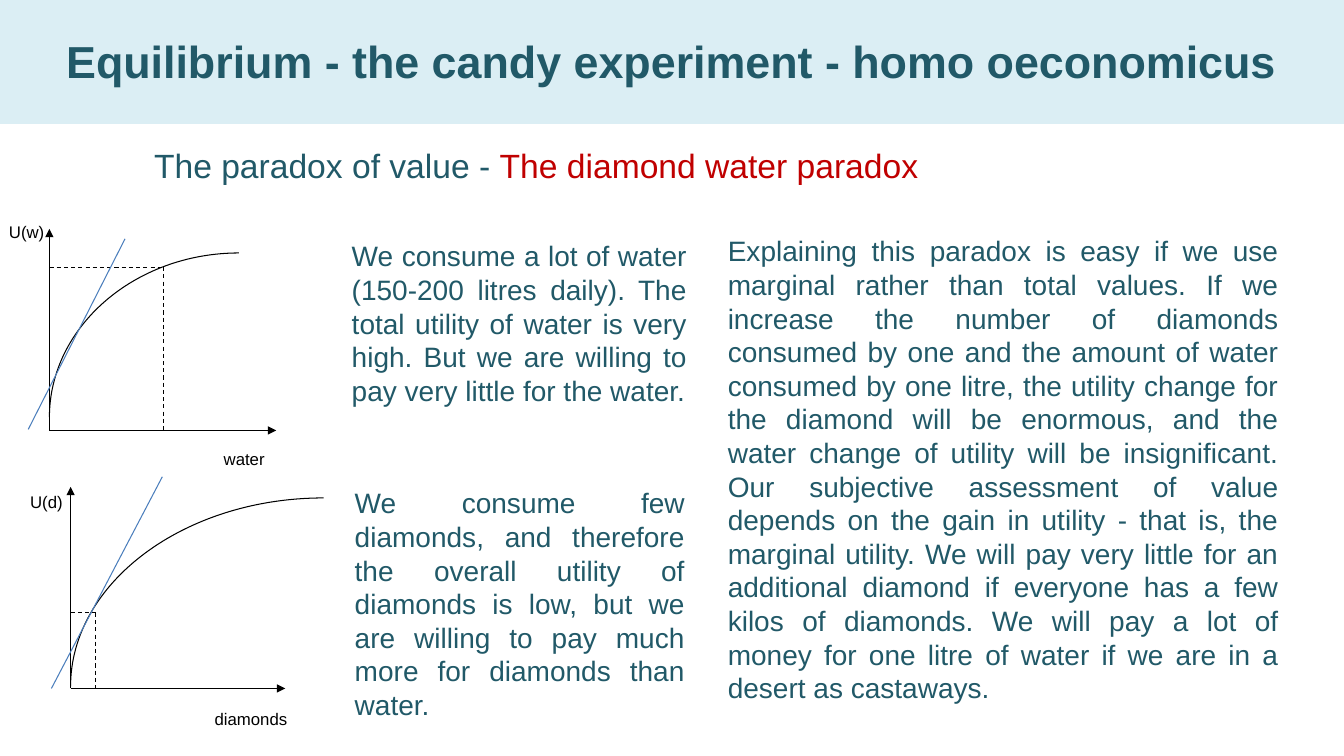
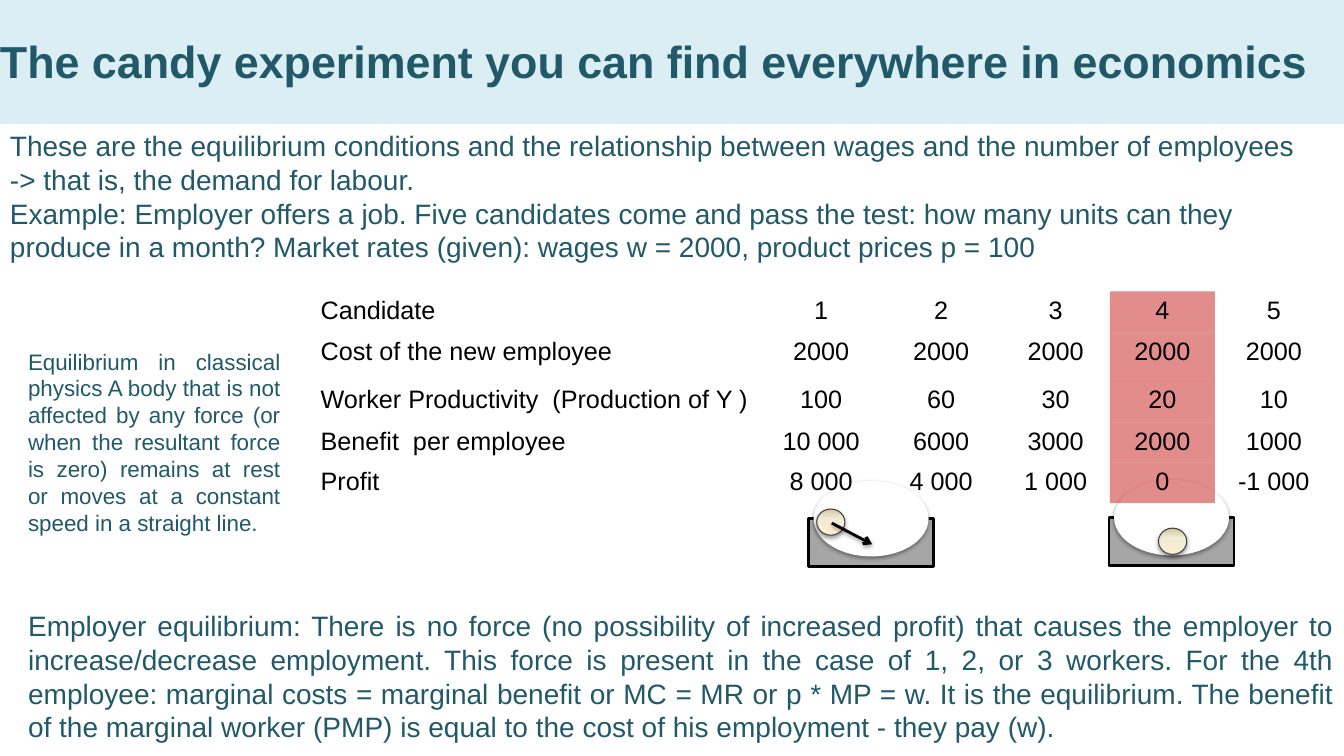
from copy import deepcopy

from lxml.etree import SubElement
from pptx import Presentation
from pptx.dml.color import RGBColor
from pptx.enum.dml import MSO_LINE
from pptx.enum.shapes import MSO_CONNECTOR, MSO_SHAPE
from pptx.enum.text import MSO_ANCHOR, MSO_AUTO_SIZE, PP_ALIGN
from pptx.oxml.ns import qn
from pptx.util import Inches, Pt

FONT = "Arial"
TEAL = "215968"
PALE = "DBEEF4"
RED = "C00000"
BLUE = "4B7EBC"
BLACK = "000000"
WHITE = "FFFFFF"
GREY = "A6A6A6"
DARK = "404040"
BALL = [(0, "FFEFD1"), (0.65, "F0EBD5"), (1, "D1C39F")]
PLAIN = "{2D5ABB26-0587-4C30-8999-92F81FD0307C}"
CURVE = 0.55

WIDTHS = [4.47, 1.19, 1.19, 1.08, 1.04, 1.17]
HEIGHTS = [0.41, 0.48, 0.41, 0.4, 0.4]
MARKED = 4
ROWS = [
    ["Candidate", "1", "2", "3", "4", "5"],
    ["Cost of the new employee", "2000", "2000", "2000", "2000", "2000"],
    ["Worker Productivity  (Production of Y )", "100", "60", "30", "20", "10"],
    ["Benefit  per employee", "10 000", "6000", "3000", "2000", "1000"],
    ["Profit", "8 000", "4 000", "1 000", "0", "-1 000"],
]


def tint(value):
    return RGBColor.from_string(value)


def place(*sizes):
    return [Inches(size) for size in sizes]


def write(para, text, size=20, color=TEAL, bold=False, align=None):
    para.alignment = align
    run = para.add_run()
    run.text = text
    font = run.font
    font.name = FONT
    font.size = Pt(size)
    font.bold = bold
    font.color.rgb = tint(color)


def add_text(slide, at, text, grow=True, **style):
    frame = slide.shapes.add_textbox(*place(*at)).text_frame
    frame.word_wrap = True
    frame.auto_size = MSO_AUTO_SIZE.SHAPE_TO_FIT_TEXT if grow else MSO_AUTO_SIZE.NONE
    write(frame.paragraphs[0], text, **style)
    return frame


def add_form(slide, kind, at, fill, line=None, width=0.75):
    form = slide.shapes.add_shape(kind, *place(*at))
    form.shadow.inherit = False
    form.fill.solid()
    form.fill.fore_color.rgb = tint(fill)
    if line:
        form.line.color.rgb = tint(line)
        form.line.width = Pt(width)
    else:
        form.line.fill.background()
    return form


def add_shade(item):
    effects = item._element.spPr.find(qn("a:effectLst"))
    shade = SubElement(effects, qn("a:outerShdw"), blurRad="39370", dist="20320",
                       dir="5400000", rotWithShape="0")
    color = SubElement(shade, qn("a:srgbClr"), val=BLACK)
    SubElement(color, qn("a:alpha"), val="38000")


def add_line(slide, start, end, color=BLACK, width=0.75, dash=False, head=None):
    line = slide.shapes.add_connector(MSO_CONNECTOR.STRAIGHT, *place(*start, *end))
    line.line.color.rgb = tint(color)
    line.line.width = Pt(width)
    if dash:
        line.line.dash_style = MSO_LINE.DASH
    if head:
        SubElement(line.line._get_or_add_ln(), qn("a:tailEnd"), type=head)
    SubElement(line._element.spPr, qn("a:effectLst"))
    return line


def add_curve(slide, left, top, right, base):
    pen = slide.shapes.build_freeform(*place(right, top))
    pen.add_line_segments([place(left, base)], close=False)
    form = pen.convert_to_shape()
    form.shadow.inherit = False
    form.fill.background()
    form.line.color.rgb = tint(BLACK)
    form.line.width = Pt(0.75)
    wide, high = form.width, form.height
    chord = form._element.spPr.find(".//" + qn("a:lnTo"))
    track = chord.getparent()
    track.remove(chord)
    bend = SubElement(track, qn("a:cubicBezTo"))
    points = [(wide * (1 - CURVE), 0), (0, high * (1 - CURVE)), (0, high)]
    for x, y in points:
        SubElement(bend, qn("a:pt"), x=str(round(x)), y=str(round(y)))


def add_graph(slide, zero, ends, curve, point, slope, labels):
    left, base = zero
    right, top = ends
    x, y = point
    for end in ((left, top), (right, base)):
        add_line(slide, zero, end, head="triangle")
    add_curve(slide, *curve)
    for text, at in labels:
        add_text(slide, at, text, grow=False, size=12, color=BLACK)
    for start, end in (((left, y), point), (point, (x, base))):
        add_line(slide, start, end, dash=True)
    add_line(slide, *slope, color=BLUE)


def add_bowl(slide, x, y, ball):
    add_form(slide, MSO_SHAPE.RECTANGLE, (x, y, 1.24, 0.48), GREY, BLACK, 2)
    hole = add_form(slide, MSO_SHAPE.OVAL, (x + 0.05, y - 0.37, 1.14, 0.75), WHITE)
    add_shade(hole)
    form = add_form(slide, MSO_SHAPE.OVAL, (*ball, 0.28, 0.26), WHITE, DARK)
    form.fill.gradient()
    form.fill.gradient_angle = 90
    stops = form._element.spPr.find(".//" + qn("a:gsLst"))
    stops.append(deepcopy(stops[0]))
    for stop, (place_at, color) in zip(form.fill.gradient_stops, BALL):
        stop.position = place_at
        stop.color.rgb = tint(color)
    add_shade(form)


def add_grid(slide, x, y):
    frame = slide.shapes.add_table(len(ROWS), len(WIDTHS),
                                   *place(x, y, sum(WIDTHS), sum(HEIGHTS)))
    grid = frame.table
    grid.first_row = grid.horz_banding = False
    grid._tbl.tblPr.find(qn("a:tableStyleId")).text = PLAIN
    for column, width in zip(grid.columns, WIDTHS):
        column.width = Inches(width)
    for row, height, texts in zip(grid.rows, HEIGHTS, ROWS):
        row.height = Inches(height)
        for index, (cell, text) in enumerate(zip(row.cells, texts)):
            write(cell.text_frame.paragraphs[0], text, size=18, color=BLACK,
                  align=PP_ALIGN.CENTER if index else PP_ALIGN.LEFT)
            if index == MARKED:
                cell.fill.solid()
                cell.fill.fore_color.rgb = tint(RED)
                color = cell._tc.tcPr.find(".//" + qn("a:srgbClr"))
                SubElement(color, qn("a:alpha"), val="45000")
            else:
                cell.fill.background()


def add_slide(deck, title, align):
    slide = deck.slides.add_slide(deck.slide_layouts[6])
    band = add_form(slide, MSO_SHAPE.RECTANGLE, (0, -0.02, 13.33, 1.25), PALE)
    frame = band.text_frame
    frame.word_wrap = True
    frame.vertical_anchor = MSO_ANCHOR.MIDDLE
    frame.margin_left = frame.margin_right = 0
    frame.margin_top = frame.margin_bottom = 0
    write(frame.paragraphs[0], title, size=32, bold=True, align=align)
    return slide


def add_value(deck):
    slide = add_slide(deck, "Equilibrium - the candy experiment - homo oeconomicus",
                      PP_ALIGN.CENTER)
    just = PP_ALIGN.JUSTIFY
    head = add_text(slide, (1.43, 1.39, 11.71, 0.5), "The paradox of value - ",
                    size=24, align=just)
    write(head.paragraphs[0], "The diamond water paradox", size=24, color=RED, align=just)
    add_text(slide, (3.39, 2.32, 3.52, 1.78),
             "We consume a lot of water (150-200 litres daily). The total utility of water "
             "is very high. But we are willing to pay very little for the water.", align=just)
    add_text(slide, (3.42, 4.77, 3.47, 2.12),
             "We consume few diamonds, and therefore the overall utility of diamonds is low, "
             "but we are willing to pay much more for diamonds than water.", align=just)
    add_text(slide, (7.12, 2.27, 5.66, 4.81),
             "Explaining this paradox is easy if we use marginal rather than total values. "
             "If we increase the number of diamonds consumed by one and the amount of water "
             "consumed by one litre, the utility change for the diamond will be enormous, "
             "and the water change of utility will be insignificant. Our subjective "
             "assessment of value depends on the gain in utility - that is, the marginal "
             "utility. We will pay very little for an additional diamond if everyone has a "
             "few kilos of diamonds. We will pay a lot of money for one litre of water if we "
             "are in a desert as castaways.", align=just)
    add_graph(slide, (0.7, 6.83), (2.83, 4.83), (0.7, 4.94, 3.21, 6.81), (0.95, 6.08),
              ((0.51, 6.83), (1.61, 4.73)),
              [("diamonds", (2.03, 6.98, 1.03, 0.38)), ("U(d)", (0.2, 4.83, 0.62, 0.5))])
    add_graph(slide, (0.49, 4.27), (2.74, 2.27), (0.49, 2.51, 2.37, 4.14), (1.62, 2.65),
              ((0.28, 4.26), (1.24, 2.37)),
              [("water", (2.12, 4.4, 0.88, 0.38)), ("U(w)", (-0.01, 2.15, 0.62, 0.5))])


def add_labour(deck):
    slide = add_slide(deck, "The candy experiment you can find everywhere in economics",
                      PP_ALIGN.LEFT)
    add_bowl(slide, 8.02, 5.14, (8.1, 5.05))
    force = add_line(slide, (8.25, 5.19), (8.65, 5.4), width=2, head="arrow")
    add_shade(force)
    add_bowl(slide, 11, 5.13, (11.49, 5.24))
    intro = add_text(slide, (0, 1.23, 13.22, 1.45),
                     "These are the equilibrium conditions and the relationship between wages "
                     "and the number of employees -> that is, the demand for labour.")
    write(intro.add_paragraph(),
          "Example: Employer offers a job. Five candidates come and pass the test: how many "
          "units can they produce in a month? Market rates (given): wages w = 2000, product "
          "prices p = 100")
    add_grid(slide, 3.08, 2.89)
    add_text(slide, (0.18, 3.4, 2.7, 1.99),
             "Equilibrium in classical physics A body that is not affected by any force (or "
             "when the resultant force is zero) remains at rest or moves at a constant speed "
             "in a straight line.", size=16, align=PP_ALIGN.JUSTIFY)
    add_text(slide, (0.18, 5.99, 13.15, 1.45),
             "Employer equilibrium: There is no force (no possibility of increased profit) "
             "that causes the employer to increase/decrease employment. This force is present "
             "in the case of 1, 2, or 3 workers. For the 4th employee: marginal costs = "
             "marginal benefit or MC = MR or p * MP = w. It is the equilibrium. The benefit of "
             "the marginal worker (PMP) is equal to the cost of his employment - they pay (w).",
             align=PP_ALIGN.JUSTIFY)


def main():
    deck = Presentation()
    deck.slide_width, deck.slide_height = place(13.33, 7.5)
    add_value(deck)
    add_labour(deck)
    deck.save("out.pptx")


if __name__ == "__main__":
    main()
